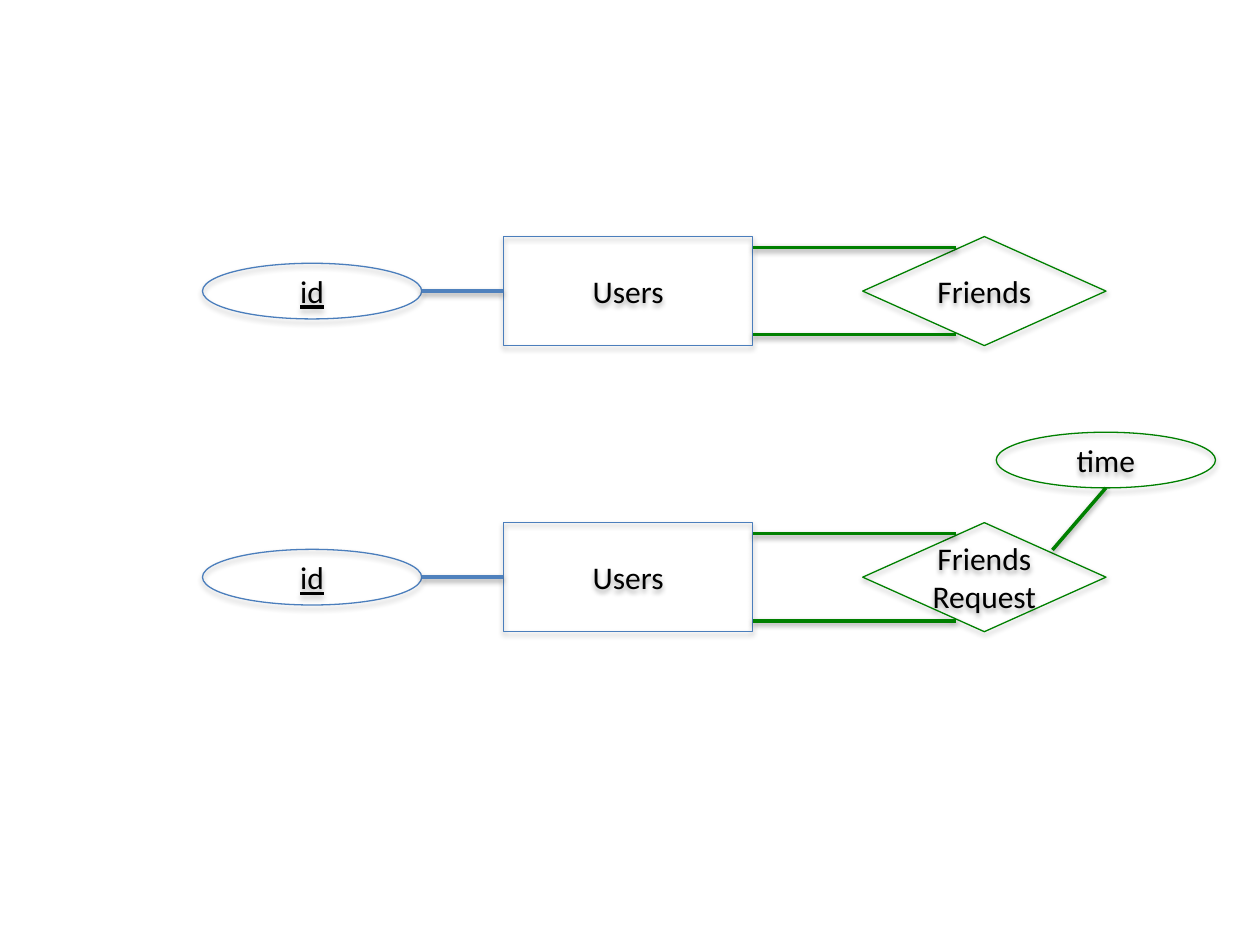
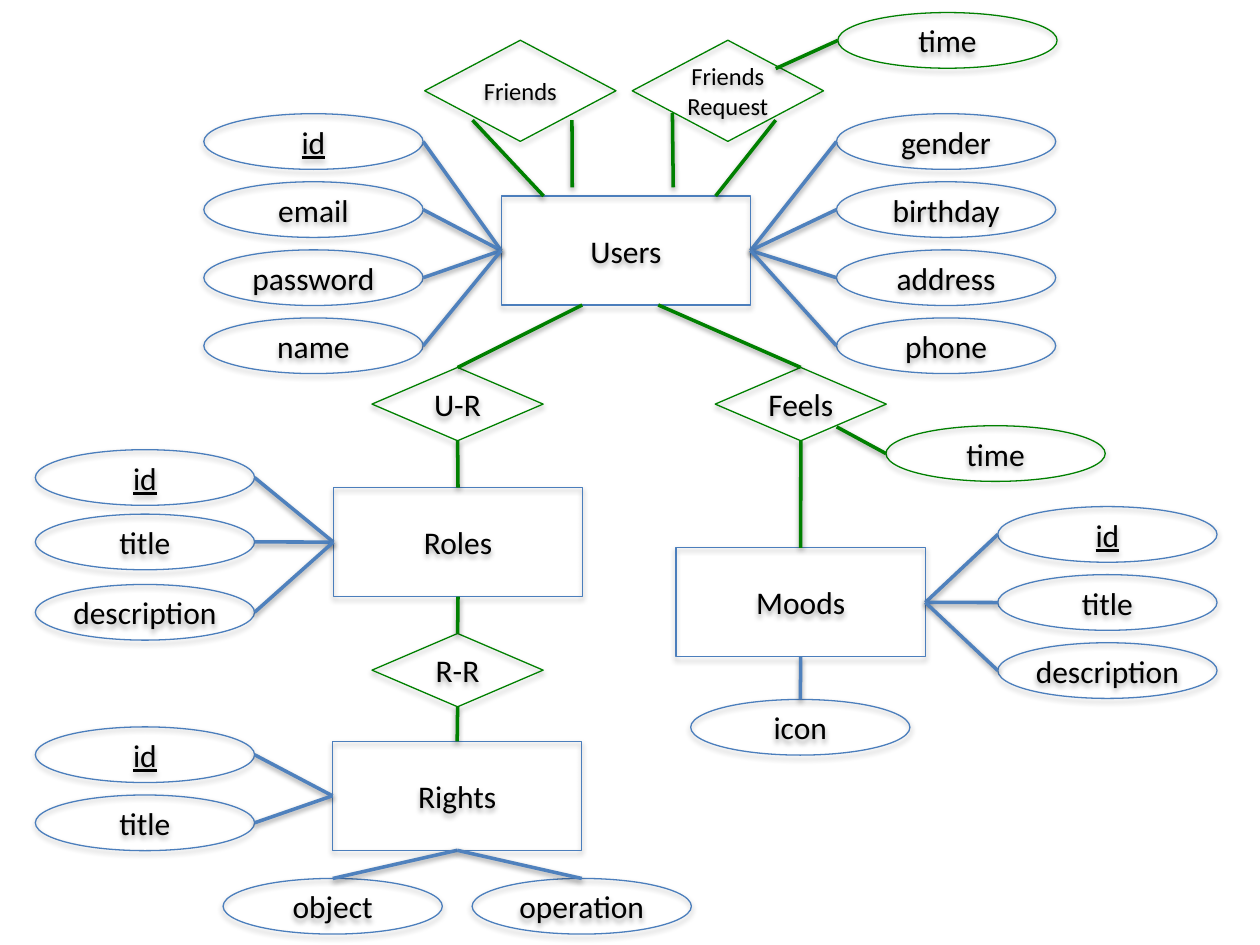
from lxml.etree import SubElement
from pptx import Presentation
from pptx.dml.color import RGBColor
from pptx.enum.shapes import MSO_CONNECTOR, MSO_SHAPE
from pptx.enum.text import MSO_ANCHOR, PP_ALIGN
from pptx.oxml.ns import qn
from pptx.util import Pt

FONT = "Calibri"
TEXT, BLUE_OUTLINE, BLUE_LINK, GREEN = "000000", "4B7EBC", "4F81BD", "008000"
ENTITY_SIZE = (142.5, 62.3)
ATTRIBUTE_SIZE = (125.3, 31.8)
ATTRIBUTE_PITCH = 38.9
OUTLINE_WIDTH, LINK_WIDTH = 0.75, 2
KEY = "id"

# Anchors are fractions of a node's width and height.
LEFT, RIGHT, TOP, BOTTOM = (0, 0.5), (1, 0.5), (0.5, 0), (0.5, 1)


def friendship(top, label):
    """Describe one users-to-users relation whose row starts at top."""
    attribute_top = top + (ENTITY_SIZE[1] - ATTRIBUTE_SIZE[1]) / 2
    return {
        "entities": {"Users": (287.7, top)},
        "relations": {label: (493, top, 139, ENTITY_SIZE[1], 18)},
        "attributes": [("Users", LEFT, RIGHT, 115.7, attribute_top, [KEY])],
        "links": [("Users", (1, y), label, (0.385, y)) for y in (0.1, 0.9)],
    }


friends = friendship(135.2, "Friends")
requests = friendship(298.7, "Friends\nRequest")
requests["attributes"].append(
    ("Friends\nRequest", (0.78, 0.25), BOTTOM, 569.3, 247, ["time"]))

schema = {
    # name: left, top
    "entities": {
        "Users": (286.4, 112),
        "Roles": (190.5, 278.6),
        "Rights": (190, 423.6),
        "Moods": (386.3, 313.1),
    },
    # name: left, top, width, height, font size
    "relations": {
        "U-R": (212.6, 210, 97.8, 41.9, 18),
        "R-R": (212.6, 362, 97.8, 41.9, 18),
        "Feels": (408.7, 210, 97.8, 41.9, 18),
        "Friends": (242.7, 23, 109.3, 57.8, 14),
        "Friends\nRequest": (361.3, 23, 109.3, 57.8, 14),
    },
    # owner, owner anchor, attribute anchor, left, first top, labels
    "attributes": [
        ("Users", LEFT, RIGHT, 116.5, 65, [KEY, "email", "password", "name"]),
        ("Users", RIGHT, LEFT, 478, 65,
         ["gender", "birthday", "address", "phone"]),
        ("Roles", LEFT, RIGHT, 20.2, 257, [KEY]),
        ("Roles", LEFT, RIGHT, 20.2, 293.8, ["title"]),
        ("Roles", LEFT, RIGHT, 20.2, 334, ["description"]),
        ("Rights", LEFT, RIGHT, 20.2, 415.4, [KEY, "title"]),
        ("Rights", BOTTOM, TOP, 127.5, 502, ["object"]),
        ("Rights", BOTTOM, TOP, 269.8, 502, ["operation"]),
        ("Moods", RIGHT, LEFT, 570.2, 289.5, [KEY, "title", "description"]),
        ("Moods", BOTTOM, TOP, 394.7, 399.7, ["icon"]),
        ("Friends\nRequest", (0.75, 0.28), LEFT, 478.8, 7.2, ["time"]),
        ("Feels", (0.71, 0.81), LEFT, 506.3, 243.3, ["time"]),
    ],
    # entity, anchor, relation, anchor
    "links": [
        ("Users", (0.325, 1), "U-R", TOP),
        ("Roles", TOP, "U-R", BOTTOM),
        ("Roles", BOTTOM, "R-R", TOP),
        ("Rights", TOP, "R-R", BOTTOM),
        ("Users", (0.63, 1), "Feels", TOP),
        ("Moods", TOP, "Feels", BOTTOM),
        ("Users", (0.17, 0), "Friends", (0.25, 0.79)),
        ("Users", (0.285, -0.08), "Friends", (0.77, 0.79)),
        ("Users", (0.86, 0), "Friends\nRequest", (0.75, 0.79)),
        ("Users", (0.69, -0.08), "Friends\nRequest", (0.21, 0.72)),
    ],
}

SLIDES = [[requests, friends], [schema]]


def color(hex_code):
    """Turn a hex string into a colour."""
    return RGBColor.from_string(hex_code)


def outline(item, hex_code, width, shadow_distance, shadow_percent):
    """Set the line of a node or link and drop a soft shadow below it."""
    item.line.color.rgb = color(hex_code)
    item.line.width = Pt(width)
    effects = SubElement(item._element.spPr, qn("a:effectLst"))
    shadow = SubElement(effects, qn("a:outerShdw"), blurRad=str(Pt(3.15)),
                        dist=str(Pt(shadow_distance)), dir="5400000",
                        rotWithShape="0")
    black = SubElement(shadow, qn("a:srgbClr"), val="000000")
    SubElement(black, qn("a:alpha"), val=str(shadow_percent * 1000))


def add_node(shapes, preset, label, box, hex_code, size=18):
    """Add an outlined, unfilled node with a centred label."""
    node = shapes.add_shape(preset, *map(Pt, box))
    node.fill.background()
    outline(node, hex_code, OUTLINE_WIDTH, 1.8, 35)
    frame = node.text_frame
    frame.word_wrap = True
    frame.vertical_anchor = MSO_ANCHOR.MIDDLE
    frame.margin_left = frame.margin_right = 0
    frame.margin_top = frame.margin_bottom = Pt(3.6)
    frame.text = label
    for paragraph in frame.paragraphs:
        paragraph.alignment = PP_ALIGN.CENTER
        paragraph.font.name = FONT
        paragraph.font.size = Pt(size)
        paragraph.font.color.rgb = color(TEXT)
        if label == KEY:
            paragraph.font.underline = True


def anchor_point(box, anchor):
    """Return the point at an anchor's fractions of a box."""
    left, top, width, height = box
    return Pt(left + anchor[0] * width), Pt(top + anchor[1] * height)


def add_link(shapes, start_box, start, end_box, end, hex_code):
    """Join two boxes with a straight line between their anchors."""
    link = shapes.add_connector(MSO_CONNECTOR.STRAIGHT,
                                *anchor_point(start_box, start),
                                *anchor_point(end_box, end))
    outline(link, hex_code, LINK_WIDTH, 1.6, 38)


def draw_diagram(slide, diagram):
    """Draw one entity-relationship diagram as a group."""
    shapes = slide.shapes.add_group_shape().shapes
    boxes = {}
    for name, position in diagram["entities"].items():
        boxes[name] = position + ENTITY_SIZE
        add_node(shapes, MSO_SHAPE.RECTANGLE, name, boxes[name], BLUE_OUTLINE)
    for name, (*box, size) in diagram["relations"].items():
        boxes[name] = box
        add_node(shapes, MSO_SHAPE.DIAMOND, name, box, GREEN, size)
    for owner, owner_side, side, left, first_top, labels in diagram["attributes"]:
        of_entity = owner in diagram["entities"]
        for row, label in enumerate(labels):
            box = (left, first_top + row * ATTRIBUTE_PITCH) + ATTRIBUTE_SIZE
            add_node(shapes, MSO_SHAPE.OVAL, label, box,
                     BLUE_OUTLINE if of_entity else GREEN)
            add_link(shapes, boxes[owner], owner_side, box, side,
                     BLUE_LINK if of_entity else GREEN)
    for entity, start, relation, end in diagram["links"]:
        add_link(shapes, boxes[entity], start, boxes[relation], end, GREEN)


presentation = Presentation()
presentation.slide_width, presentation.slide_height = Pt(720), Pt(540)
for diagrams in SLIDES:
    slide = presentation.slides.add_slide(presentation.slide_layouts[6])
    for diagram in diagrams:
        draw_diagram(slide, diagram)
presentation.save("out.pptx")
